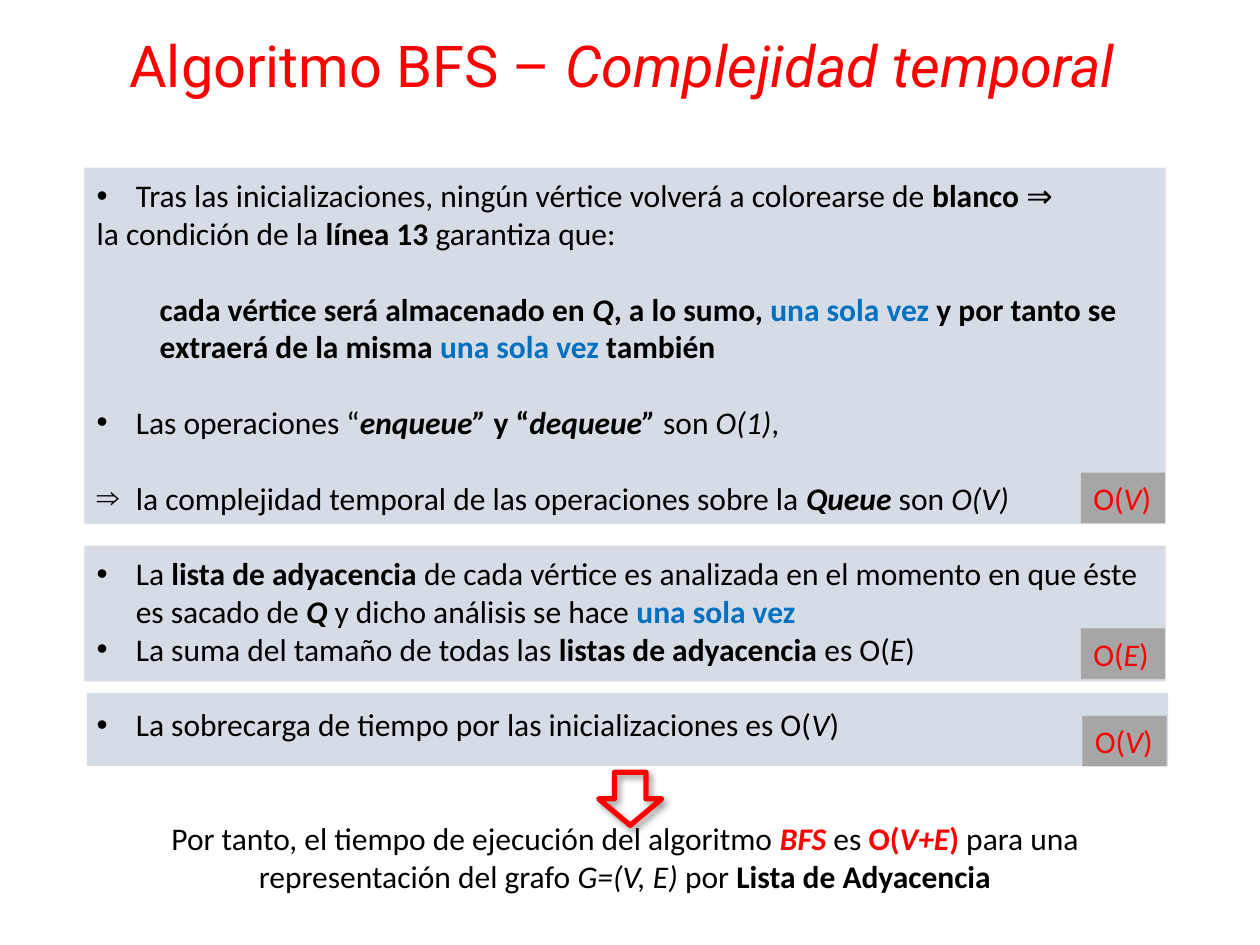
from pptx import Presentation
from pptx.dml.color import RGBColor
from pptx.enum.shapes import MSO_SHAPE
from pptx.enum.text import MSO_ANCHOR, MSO_AUTO_SIZE, PP_ALIGN
from pptx.oxml import parse_xml
from pptx.oxml.ns import nsdecls
from pptx.util import Cm, Pt

# Content: runs are (text, style); style has b = bold, i = italic, then a colour key
COLORS = {"text": "000000", "red": "FF0000", "blue": "0070C0",
          "panel": "D6DCE5", "tag": "A6A6A6"}
TITLE = [("Algoritmo BFS – ", " red"), ("Complejidad temporal", "i red")]

# Paragraphs: bullet, left indent in cm, empty lines above, runs
BODY = [
    ("•", 0.79, 0, [
        ("Tras las inicializaciones, ningún vértice volverá a colorearse de ", ""),
        ("blanco ", "b"), ("⇒", "")]),
    ("", 0, 0, [("la condición de la ", ""), ("línea 13", "b"), (" garantiza que:", "")]),
    ("", 1.27, 1, [
        ("cada vértice será almacenado en ", "b"), ("Q", "bi"), (", a lo sumo, ", "b"),
        ("una sola vez ", "b blue"), ("y por tanto se extraerá de la misma ", "b"),
        ("una sola vez ", "b blue"), ("también", "b")]),
    ("•", 0.79, 1, [
        ("Las operaciones “", ""), ("enqueue” ", "bi"), ("y “", "b"),
        ("dequeue” ", "bi"), ("son ", ""), ("O(1)", "i"), (",", "")]),
    ("⇒", 0.79, 1, [
        ("la complejidad temporal de las operaciones sobre la ", ""),
        ("Queue", "bi"), (" son ", ""), ("O(V)", "i")]),
    ("•", 0.79, 1, [
        ("La ", ""), ("lista de adyacencia", "b"),
        (" de cada vértice es analizada en el momento en que éste es sacado de ", ""),
        ("Q", "bi"), (" y dicho análisis se hace ", ""), ("una sola vez", "b blue")]),
    ("•", 0.79, 0, [
        ("La suma del tamaño de todas las ", ""), ("listas de adyacencia", "b"),
        (" es O(", ""), ("E", "i"), (")", "")]),
    ("•", 0.79, 1, [
        ("La sobrecarga de tiempo por las inicializaciones es O(", ""),
        ("V", "i"), (")", "")]),
    ("", 0, 2, [
        ("Por tanto, el tiempo de ejecución del algoritmo ", ""), ("BFS", "bi red"),
        (" es ", ""), ("O(", "b red"), ("V+E", "bi red"), (")", "b red"),
        (" para una representación del grafo ", ""), ("G=(V, E)", "i"),
        (" por ", ""), ("Lista de Adyacencia", "b")]),
]
# Left, top, height in cm
PANELS = [(1.75, 13.97, 1.47), (1.7, 11, 2.74), (1.7, 3.38, 7.19)]
# Left, top in cm, variable
TAGS = [(21.79, 9.53, "V"), (21.79, 12.67, "E"), (21.82, 14.43, "V")]
PANEL_W, TAG_W, TAG_H = 21.8, 1.7, 1.02
LINE = 21.6  # height of one body line, points


def rgb(name):
    return RGBColor.from_string(COLORS[name])


def add_runs(p, runs, size=18, font="Calibri"):
    for text, style in runs:
        flags, _, color = style.partition(" ")
        r = p.add_run()
        r.text = text
        formats = {"size": Pt(size), "name": font, "bold": "b" in flags,
                   "italic": "i" in flags}
        for key, value in formats.items():
            setattr(r.font, key, value)
        r.font.color.rgb = rgb(color or "text")


def add_block(s, kind, box, fill=None):
    sp = s.shapes.add_shape(kind, *map(Cm, box))
    sp.shadow.inherit = False
    sp.line.fill.background()
    if fill:
        sp.fill.solid()
        sp.fill.fore_color.rgb = rgb(fill)
    else:
        sp.fill.background()
    return sp


def set_indent(p, left, bullet):
    pPr = p._p.get_or_add_pPr()
    pPr.set("marL", str(Cm(left)))
    pPr.set("indent", str(-Cm(left) if bullet else 0))
    if bullet:
        pPr.append(parse_xml(f'<a:buFont {nsdecls("a")} typeface="Arial"/>'))
        pPr.append(parse_xml(f'<a:buChar {nsdecls("a")} char="{bullet}"/>'))


prs = Presentation()
prs.slide_width, prs.slide_height = Cm(25.4), Cm(19.05)
s = prs.slides.add_slide(prs.slide_layouts[5])

# Title
title = s.shapes.title
title.left, title.top, title.width, title.height = map(Cm, (0.48, 0.43, 24.13, 1.9))
tf = title.text_frame
tf.vertical_anchor = MSO_ANCHOR.MIDDLE
p = tf.paragraphs[0]
p.alignment, p.line_spacing = PP_ALIGN.CENTER, 0.9
add_runs(p, TITLE, 33, "Roboto")

# Panels behind the text
for left, top, height in PANELS:
    add_block(s, MSO_SHAPE.RECTANGLE, (left, top, PANEL_W, height), "panel")

# Body text, starting two lines down
tf = s.shapes.add_textbox(*map(Cm, (1.7, 1.9, PANEL_W, 17.2))).text_frame
tf.word_wrap = True
tf.auto_size = MSO_AUTO_SIZE.SHAPE_TO_FIT_TEXT
tf.margin_top = Cm(0.13) + Pt(2 * LINE)
for n, (bullet, left, gap, runs) in enumerate(BODY):
    p = tf.add_paragraph() if n else tf.paragraphs[0]
    p.space_before = Pt(gap * LINE)
    set_indent(p, left, bullet)
    add_runs(p, runs)
p.alignment = PP_ALIGN.CENTER  # conclusion

# Cost tags
for left, top, variable in TAGS:
    tf = add_block(s, MSO_SHAPE.RECTANGLE, (left, top, TAG_W, TAG_H), "tag").text_frame
    tf.word_wrap = False
    tf.auto_size = MSO_AUTO_SIZE.SHAPE_TO_FIT_TEXT
    tf.vertical_anchor = MSO_ANCHOR.TOP
    p = tf.paragraphs[0]
    p.alignment = PP_ALIGN.LEFT
    add_runs(p, [("O(", " red"), (variable, "i red"), (")", " red")])

# Arrow to the conclusion, with a soft shadow
arrow = add_block(s, MSO_SHAPE.DOWN_ARROW, (12.07, 15.57, 1.27, 1.07))
arrow.line.color.rgb = rgb("red")
arrow.line.width = Pt(3)
effects = arrow._element.spPr.find(
    "{http://schemas.openxmlformats.org/drawingml/2006/main}effectLst")
effects.append(parse_xml(
    f'<a:outerShdw {nsdecls("a")} blurRad="{Pt(4)}" dist="{Pt(3)}" dir="2700000">'
    f'<a:srgbClr val="{COLORS["text"]}"><a:alpha val="40000"/></a:srgbClr></a:outerShdw>'))

prs.save("out.pptx")
